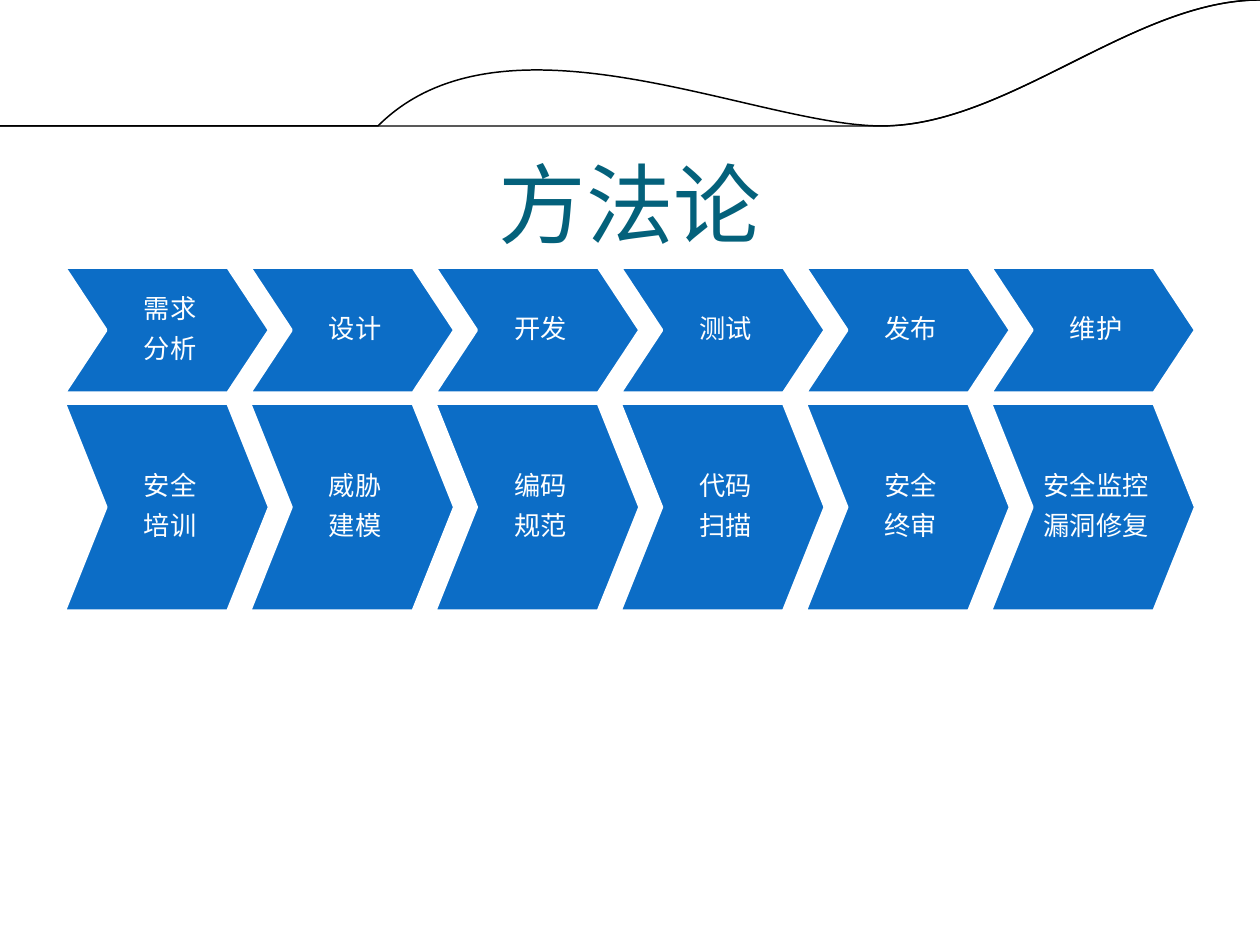
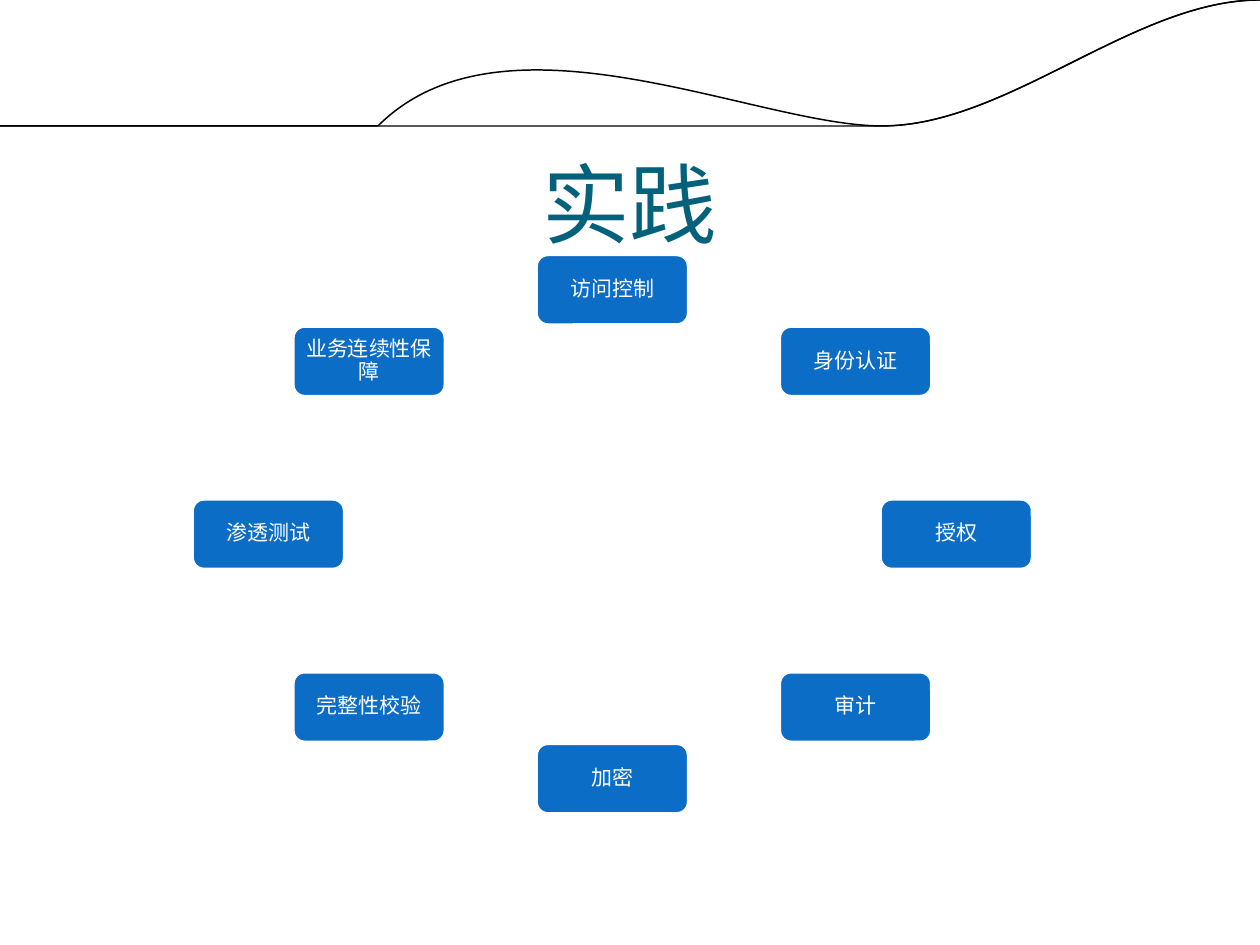
from dataclasses import dataclass
from math import cos, pi, sin

from lxml import etree
from pptx import Presentation
from pptx.dml.color import RGBColor
from pptx.enum.shapes import MSO_SHAPE
from pptx.enum.text import MSO_ANCHOR, PP_ALIGN
from pptx.oxml.ns import qn
from pptx.util import Inches, Pt

CHEVRON = MSO_SHAPE.CHEVRON
ROUNDED = MSO_SHAPE.ROUNDED_RECTANGLE
CENTER = PP_ALIGN.CENTER
MIDDLE, BOTTOM = MSO_ANCHOR.MIDDLE, MSO_ANCHOR.BOTTOM


@dataclass(frozen=True)
class Theme:
    title_color: RGBColor = RGBColor(0x04, 0x61, 0x7B)
    block: RGBColor = RGBColor(0x0C, 0x6D, 0xC6)
    white: RGBColor = RGBColor(0xFF, 0xFF, 0xFF)
    wave: RGBColor = RGBColor(0, 0, 0)
    title_font: str = "Calibri"
    body_font: str = "Noto Sans CJK SC"
    title_size: float = 50
    step_size: float = 15
    practice_size: float = 12
    outline: float = 2


THEME = Theme()

# Each wave: line width, then a start point and three points per Bezier curve
WAVES = [
    (0.85, [(0, 1.11), (0.48, 0.93), (1.58, 0.57), (2.77, 0.52),
            (3.96, 0.47), (5.93, 0.89), (7.13, 0.8),
            (8.33, 0.71), (9.39, 0.15), (9.98, -0.02)]),
    (0.75, [(0, 1.04), (0.47, 0.96), (1.64, 0.61), (2.83, 0.56),
            (4.03, 0.51), (5.98, 0.83), (7.17, 0.75),
            (8.36, 0.67), (9.41, 0.21), (10, 0.06)]),
]

# Each row: top, height, labels
STEP_ROWS = [
    (2.12, 1.0, ["需求\n分析", "设计", "开发", "测试", "发布", "维护"]),
    (3.2, 1.65, ["安全\n培训", "威胁\n建模", "编码\n规范", "代码\n扫描",
                 "安全\n终审", "安全监控\n漏洞修复"]),
]
STEP_LEFT, STEP_PITCH, STEP_WIDTH, STEP_POINT = 0.51, 1.47, 1.63, 0.33

# Clockwise from the top
PRACTICES = ["访问控制", "身份认证", "授权", "审计",
             "加密", "完整性校验", "渗透测试", "业务连续性保障"]
RING_X, RING_Y, RADIUS_X, RADIUS_Y = 4.86, 4.24, 2.73, 1.94
PRACTICE_WIDTH, PRACTICE_HEIGHT = 1.21, 0.56


def write(shape, text, font_name, size, color, anchor, margins):
    """Fill a shape with centred text; margins are left, top, right, bottom."""
    text_frame = shape.text_frame
    text_frame.word_wrap = True
    text_frame.vertical_anchor = anchor
    (text_frame.margin_left, text_frame.margin_top,
     text_frame.margin_right, text_frame.margin_bottom) = map(Inches, margins)
    text_frame.text = text
    for paragraph in text_frame.paragraphs:
        paragraph.alignment = CENTER
        for run in paragraph.runs:
            run.font.name = font_name
            run.font.size = Pt(size)
            run.font.color.rgb = color
            east_asian = etree.SubElement(run.font._element, qn("a:ea"))
            east_asian.set("typeface", font_name)


def add_block(slide, kind, box, adjustment, text, size, space_after, margins):
    shape = slide.shapes.add_shape(kind, *map(Inches, box))
    shape.shadow.inherit = False
    shape.adjustments[0] = adjustment
    shape.fill.solid()
    shape.fill.fore_color.rgb = THEME.block
    shape.line.color.rgb = THEME.white
    shape.line.width = Pt(THEME.outline)
    write(shape, text, THEME.body_font, size, THEME.white, MIDDLE, margins)
    for paragraph in shape.text_frame.paragraphs:
        paragraph.line_spacing = 0.9
        paragraph.space_after = Pt(space_after)


presentation = Presentation()
presentation.slide_width = Inches(10)
presentation.slide_height = Inches(7.5)

slides = []
for title in ("方法论", "实践"):
    slide = presentation.slides.add_slide(presentation.slide_layouts[6])
    slides.append(slide)
    for width, points in WAVES:
        builder = slide.shapes.build_freeform(*points[0], scale=Inches(1))
        builder.add_line_segments(points[1:], close=False)
        wave = builder.convert_to_shape()
        wave.shadow.inherit = False
        wave.fill.background()
        wave.line.color.rgb = THEME.wave
        wave.line.width = Pt(width)
        # Turn every three straight segments into one Bezier curve
        outline = next(wave._element.iter(qn("a:path")))
        segments = outline.findall(qn("a:lnTo"))
        for start in range(0, len(segments), 3):
            curve = etree.SubElement(outline, qn("a:cubicBezTo"))
            for segment in segments[start:start + 3]:
                curve.append(segment[0])
                outline.remove(segment)
    title_box = slide.shapes.add_textbox(
        Inches(0.5), Inches(0.77), Inches(9), Inches(1.25))
    write(title_box, title, THEME.title_font, THEME.title_size,
          THEME.title_color, BOTTOM, (0, 0.05, 0, 0))

method_slide, practice_slide = slides

for top, height, labels in STEP_ROWS:
    for column, label in enumerate(labels):
        box = (STEP_LEFT + column * STEP_PITCH, top, STEP_WIDTH, height)
        add_block(method_slide, CHEVRON, box,
                  STEP_POINT / min(STEP_WIDTH, height), label,
                  THEME.step_size, 6.5, (0.07, 0.02, 0.02, 0.02))

for index, practice in enumerate(PRACTICES):
    angle = 2 * pi * index / len(PRACTICES)
    box = (RING_X + RADIUS_X * sin(angle) - PRACTICE_WIDTH / 2,
           RING_Y - RADIUS_Y * cos(angle) - PRACTICE_HEIGHT / 2,
           PRACTICE_WIDTH, PRACTICE_HEIGHT)
    add_block(practice_slide, ROUNDED, box, 0.167, practice,
              THEME.practice_size, 5.2, (0.02, 0.02, 0.02, 0.02))

presentation.save("out.pptx")
